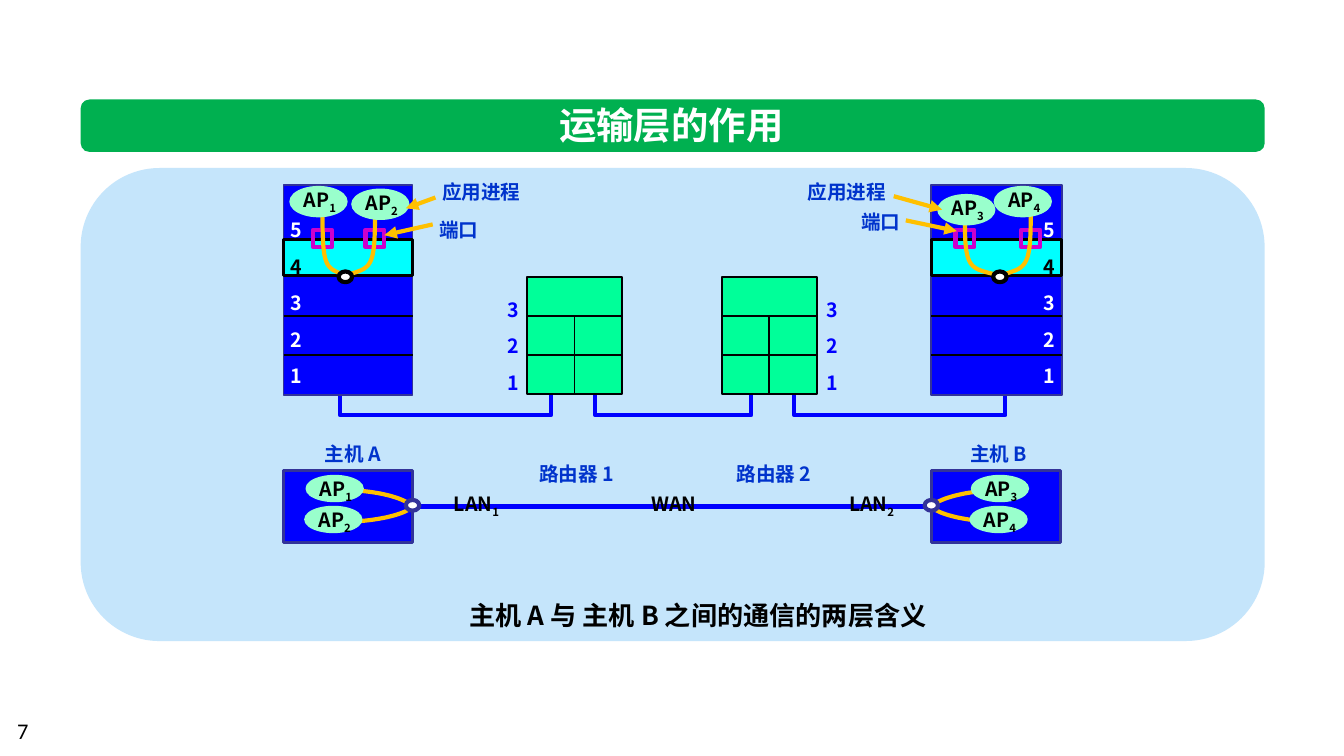
import pptx
import pptx.util
import pptx.dml.color
import pptx.enum.shapes
import pptx.enum.text
import pptx.oxml
import pptx.oxml.ns

Inches = pptx.util.Inches
Pt = pptx.util.Pt
SHAPE = pptx.enum.shapes.MSO_SHAPE
ALIGN = pptx.enum.text.PP_ALIGN
CJK = "Noto Sans CJK SC"
COLORS = {
    "white": "FFFFFF", "black": "000000", "green": "00B050", "panel": "C5E5FB",
    "blue": "0000FF", "navy": "333399", "label": "0033CC", "cyan": "00FFFF",
    "router": "00FF99", "process": "99FFCC", "wire": "FFC000", "port": "CC00CC",
}
PORT_BEND = ((0, 0.9), (0.15, 0.87))
HOST_BEND = ((0.35, 0.05), (0.85, 0.4))


def rgb(name):
    return pptx.dml.color.RGBColor.from_string(COLORS[name])


def add_child(parent, tag, **attributes):
    child = pptx.oxml.parse_xml(f"<{tag} {pptx.oxml.ns.nsdecls('a')}/>")
    for key, value in attributes.items():
        child.set(key, value)
    parent.append(child)


def set_line(line, color, width):
    line.color.rgb = rgb(color)
    line.width = Pt(width)


def block(slide, kind, box, fill=None, line=None, width=1):
    shape = slide.shapes.add_shape(kind, *map(Inches, box))
    shape.shadow.inherit = False
    if fill:
        shape.fill.solid()
        shape.fill.fore_color.rgb = rgb(fill)
    else:
        shape.fill.background()
    if line:
        set_line(shape.line, line, width)
    else:
        shape.line.fill.background()
    return shape


def line_between(slide, start, end, color="black", width=1, arrow=False):
    line = slide.shapes.add_connector(
        pptx.enum.shapes.MSO_CONNECTOR.STRAIGHT, *map(Inches, start + end))
    set_line(line.line, color, width)
    if arrow:
        add_child(line.line._get_or_add_ln(), "a:tailEnd", type="triangle")
    add_child(line._element.spPr, "a:effectLst")
    return line


def polyline(slide, points, color):
    start, *rest = [(Inches(x), Inches(y)) for x, y in points]
    builder = slide.shapes.build_freeform(*start, scale=1.0)
    builder.add_line_segments(rest, close=False)
    path_shape = builder.convert_to_shape()
    path_shape.shadow.inherit = False
    path_shape.fill.background()
    set_line(path_shape.line, color, 2.25)


def wire(slide, start, end, bend, steps=24):
    span = [b - a for a, b in zip(start, end)]
    (p, q) = [[a + d * f for a, d, f in zip(start, span, part)] for part in bend]
    points = []
    for step in range(steps + 1):
        t = step / steps
        u = 1 - t
        points.append([
            u**3 * a + 3 * u * u * t * b + 3 * u * t * t * c + t**3 * d
            for a, b, c, d in zip(start, p, q, end)])
    polyline(slide, points, "wire")


def format_run(run, color, size, bold=True, face=CJK):
    run.font.color.rgb = rgb(color)
    for key, value in {"size": Pt(size), "bold": bold, "name": face}.items():
        setattr(run.font, key, value)
    add_child(run._r.get_or_add_rPr(), "a:ea", typeface=face)


def label(slide, box, text, color="label", size=10.5, sub="", wrap=False):
    frame = slide.shapes.add_textbox(*map(Inches, box)).text_frame
    frame.word_wrap = wrap
    paragraph = frame.paragraphs[0]
    paragraph.alignment = ALIGN.CENTER
    for part, baseline in ((text, None), (sub, "-25000")):
        if part:
            run = paragraph.add_run()
            run.text = part
            format_run(run, color, size)
            if baseline:
                run._r.get_or_add_rPr().set("baseline", baseline)


def layer_numbers(slide, left, top, colors):
    count = len(colors)
    box = (left, top, 0.29, 0.08 + 0.28 * count)
    frame = slide.shapes.add_textbox(*map(Inches, box)).text_frame
    frame.word_wrap = False
    for index, color in enumerate(colors):
        paragraph = frame.paragraphs[0] if index == 0 else frame.add_paragraph()
        paragraph.alignment = ALIGN.CENTER
        paragraph.line_spacing = 1.55
        run = paragraph.add_run()
        run.text = str(count - index)
        format_run(run, color, 10.5)


def process(slide, left, top, number, height=0.19):
    block(slide, SHAPE.OVAL, (left, top, 0.42, height), "process", "process")
    label(slide, (left - 0.02, top - 0.04, 0.48, 0.28), "AP", "black", sub=number)


def socket(slide, x, y, color):
    block(slide, SHAPE.OVAL, (x - 0.05, y - 0.04, 0.1, 0.08), "white", color, 2.25)


def host_stack(slide, box, numbers_left, processes, socket_x):
    left, top, width, height = box
    block(slide, SHAPE.RECTANGLE, box, "blue", "navy")
    for y in (top + 0.97, top + 1.26):
        line_between(slide, (left, y), (left + width, y))
    block(slide, SHAPE.RECTANGLE, (left, top + 0.4, width, 0.27), "cyan", "black", 1.5)
    layer_numbers(slide, left + numbers_left, top + 0.1,
                  ["white", "black", "white", "white", "white"])
    for _, _, _, port_x in processes:
        block(slide, SHAPE.RECTANGLE,
              (left + port_x - 0.07, top + 0.33, 0.14, 0.13), None, "port", 2.25)
    for _, _, y, port_x in processes:
        wire(slide, (left + port_x, top + y + 0.2),
             (left + socket_x, top + 0.67), PORT_BEND)
    socket(slide, left + socket_x, top + 0.68, "black")
    for number, x, y, _ in processes:
        process(slide, left + x, top + y, number, 0.22)


def router_stack(slide, box, numbers_left):
    left, top, width, height = box
    body = block(slide, SHAPE.RECTANGLE, box, "router", "black")
    for row in (1, 2):
        y = top + row * height / 3
        line_between(slide, (left, y), (left + width, y))
    middle = left + width / 2
    divider = line_between(slide, (middle, top + height / 3), (middle, top + height))
    divider.end_connect(body, 2)
    layer_numbers(slide, left + numbers_left, top + 0.01, ["blue"] * 3)


def stack_links(slide, bottom):
    for start, end in ((2.53, 4.1), (4.43, 5.59), (5.91, 7.48)):
        polyline(slide, [(start, bottom), (start, bottom + 0.16),
                         (end, bottom + 0.16), (end, bottom)], "blue")


def callouts(slide):
    for text, box, start, end in (
            ("应用进程", (3.17, 1.29, 0.82, 0.28), (3.24, 1.47), (3.02, 1.55)),
            ("应用进程", (5.89, 1.29, 0.82, 0.28), (6.65, 1.46), (7.01, 1.56)),
            ("端口", (3.16, 1.57, 0.51, 0.28), (3.22, 1.67), (2.86, 1.75)),
            ("端口", (6.3, 1.51, 0.51, 0.28), (6.74, 1.64), (7.12, 1.72))):
        label(slide, box, text)
        line_between(slide, start, end, "wire", 2.25, arrow=True)


def network(slide, box):
    left, top, width, height = box
    right, middle = left + width, top + height / 2
    host_width = 0.96
    host_a, host_b = [
        block(slide, SHAPE.RECTANGLE, (x, top, host_width, height), "blue", "navy", 1.5)
        for x in (left, right - host_width)]
    inner_a, inner_b = left + host_width, right - host_width
    link = line_between(slide, (inner_a, middle), (inner_b, middle), "blue", 3)
    link.begin_connect(host_a, 3)
    link.end_connect(host_b, 1)
    for edge, upper, lower in ((inner_a, ("1", 2.28), ("2", 2.27)),
                               (inner_b, ("3", 7.23), ("4", 7.22))):
        for (number, x), y in ((upper, top + 0.04), (lower, top + 0.27)):
            start_x = x + (0.36 if x < edge else 0.14)
            wire(slide, (start_x, y + 0.11), (edge, middle), HOST_BEND)
            process(slide, x, y, number)
        socket(slide, edge, middle - 0.01, "navy")
    for text, x, y, w in (("主机 A", 2.29, -0.26, 0.67), ("主机 B", 7.1, -0.26, 0.66),
                          ("路由器 1", 3.89, -0.11, 0.8), ("路由器 2", 5.36, -0.11, 0.8)):
        label(slide, (x, top + y, w, 0.28), text)
    for text, sub, x, w in (("LAN", "1", 3.25, 0.59), ("WAN", "", 4.71, 0.61),
                            ("LAN", "2", 6.19, 0.59)):
        label(slide, (x, top + 0.11, w, 0.28), text, "black", sub=sub)


def heading(slide, box):
    left, top, width, height = box
    bar = block(slide, SHAPE.ROUNDED_RECTANGLE, box, "green")
    title = slide.shapes.title
    bar._element.addnext(title._element)
    place = {"left": left + width / 2 - 0.95, "top": top - 0.03,
             "width": 1.88, "height": height + 0.05}
    for key, value in place.items():
        setattr(title, key, Inches(value))
    frame = title.text_frame
    frame.word_wrap = False
    frame.vertical_anchor = pptx.enum.text.MSO_ANCHOR.MIDDLE
    paragraph = frame.paragraphs[0]
    paragraph.alignment = ALIGN.CENTER
    run = paragraph.add_run()
    run.text = "运输层的作用"
    format_run(run, "white", 20, face="Calibri")


def page_number(slide, box):
    frame = slide.shapes.add_textbox(*map(Inches, box)).text_frame
    frame.word_wrap = True
    run = frame.paragraphs[0].add_run()
    run.text = "7"
    format_run(run, "black", 12, bold=False, face="Calibri")


def main():
    deck = pptx.Presentation()
    deck.slide_width = Inches(10)
    deck.slide_height = deck.slide_width * 9 // 16
    slide = deck.slides.add_slide(deck.slide_layouts[5])
    heading(slide, (0.6, 0.74, 8.81, 0.39))
    block(slide, SHAPE.ROUNDED_RECTANGLE, (0.6, 1.25, 8.81, 3.52), "panel")
    label(slide, (2.67, 4.41, 5.05, 0.34), "主机 A 与 主机 B 之间的通信的两层含义",
          "black", 14, wrap=True)
    network(slide, (2.11, 3.5, 5.78, 0.54))
    stack_links(slide, 2.93)
    host_stack(slide, (2.11, 1.38, 0.96, 1.56), -0.05,
               (("1", 0.05, 0.01, 0.29), ("2", 0.51, 0.03, 0.68)), 0.46)
    host_stack(slide, (6.93, 1.38, 0.97, 1.56), 0.73,
               (("3", 0.05, 0.07, 0.25), ("4", 0.47, 0.01, 0.74)), 0.51)
    router_stack(slide, (3.92, 2.06, 0.71, 0.87), -0.25)
    router_stack(slide, (5.37, 2.06, 0.71, 0.87), 0.68)
    callouts(slide)
    page_number(slide, (0.03, 5.29, 2.33, 0.3))
    deck.save("out.pptx")


if __name__ == "__main__":
    main()
